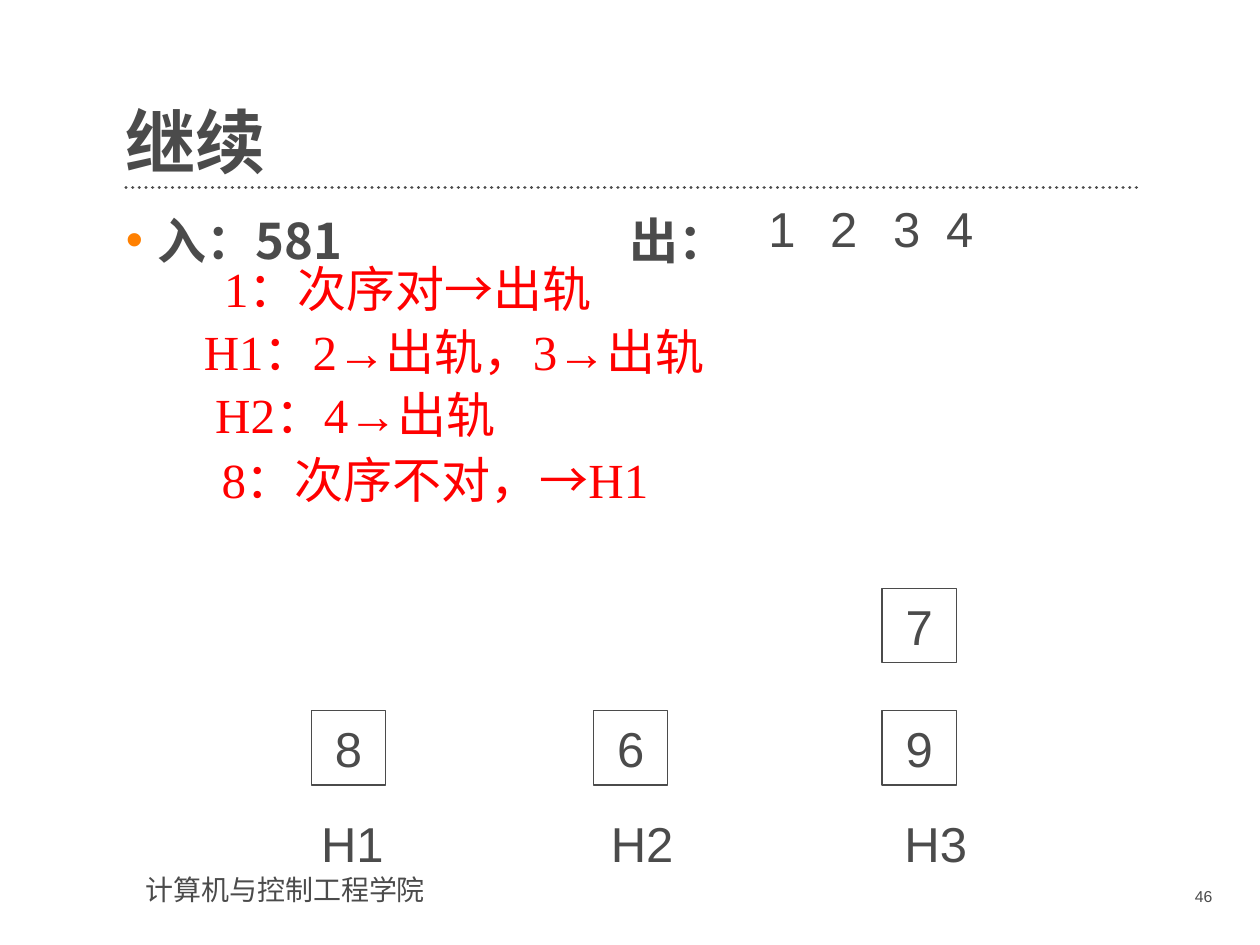
from lxml import etree
from pptx import Presentation
from pptx import util as u
from pptx.dml.color import RGBColor
from pptx.enum import dml, shapes, text
from pptx.oxml import ns

THEME = {
    "ink": "4B4B4B", "red": "FF0000", "dot": "FF8000",
    "sans": "Arial", "serif": "Times New Roman", "cjk": "Noto Sans CJK SC",
    "head": 40, "main": 28, "foot": 16, "num": 9,
}
TITLE = "继续"
BODY = "入：581\t\t\t出："
FOOT = "计算机与控制工程学院"
PAGE = "46"
STEPS = [
    (1.68, 2, 3.35, "1：次序对→出轨"),
    (1.52, 2.5, 4.8, "H1：2→出轨，3→出轨"),
    (1.61, 3, 2.8, "H2：4→出轨"),
    (1.66, 3.52, 3.85, "8：次序不对，→H1"),
]
OUT = [("1", 6), ("2", 6.49), ("3", 6.99), ("4", 7.41)]
TRACKS = [
    ("H1", 2.45, 2.47, ["8"]),
    ("H2", 4.75, 4.71, ["6"]),
    ("H3", 7.08, 7, ["9", "7"]),
]
SIDE = 0.59
WIDE = 0.75
BASE = 5.64
RISE = 0.97


def paint(font, size, color="ink", name="sans", bold=False):
    """Set size, colour and typeface from the theme."""
    font.size = u.Pt(THEME[size])
    font.color.rgb = RGBColor.from_string(THEME[color])
    font.name = THEME[name]
    font.bold = bold
    tag = etree.SubElement(font._element, ns.qn("a:ea"))
    tag.set("typeface", THEME["cjk"])


def write(slide, at, words, size="main", **look):
    """Add a text box and return its frame and paragraph."""
    frame = slide.shapes.add_textbox(*map(u.Inches, at)).text_frame
    frame.word_wrap = True
    para = frame.paragraphs[0]
    if words:
        para.add_run().text = words
    paint(para.font, size, **look)
    return frame, para


def inset(frame, right=0):
    """Clear the margins, keeping one on the right."""
    frame.margin_left = frame.margin_top = frame.margin_bottom = 0
    frame.margin_right = u.Inches(right)


def bullet(para):
    """Give a paragraph its bullet, hanging indent and tab stops."""
    prop = para._p.get_or_add_pPr()
    prop.set("marL", str(u.Inches(0.25)))
    prop.set("indent", str(-u.Inches(0.25)))
    stops = "".join(f'<a:tab pos="{u.Inches(n)}" algn="l"/>' for n in range(1, 9))
    parts = etree.fromstring(
        f'<a:x {ns.nsdecls("a")}><a:buClr><a:srgbClr val="{THEME["dot"]}"/></a:buClr>'
        f'<a:buFont typeface="{THEME["sans"]}"/><a:buChar char="•"/>'
        f'<a:tabLst>{stops}</a:tabLst></a:x>')
    for spot, part in enumerate(list(parts)):
        prop.insert(spot, part)


def step(slide, at, words):
    """Write one red step, with its arrows in the sans face."""
    para = write(slide, at, "", color="red", name="serif")[1]
    for spot, part in enumerate(words.split("→")):
        if spot:
            run = para.add_run()
            run.text = "→"
            run.font.name = THEME["sans"]
        run = para.add_run()
        run.text = part
        run.font.name = THEME["serif"]


def car(slide, left, top, label):
    """Draw one numbered square."""
    box = slide.shapes.add_shape(
        shapes.MSO_SHAPE.RECTANGLE, *map(u.Inches, (left, top, SIDE, SIDE)))
    box.shadow.inherit = False
    box.fill.background()
    box.line.color.rgb = RGBColor.from_string(THEME["ink"])
    box.line.width = u.Pt(0.75)
    frame = box.text_frame
    frame.vertical_anchor = text.MSO_ANCHOR.MIDDLE
    para = frame.paragraphs[0]
    para.add_run().text = label
    para.alignment = text.PP_ALIGN.CENTER
    paint(para.font, "main")


def rule(slide):
    """Draw the dotted line under the title."""
    line = slide.shapes.add_connector(
        shapes.MSO_CONNECTOR.STRAIGHT, *map(u.Inches, (1, 1.49, 9.06, 1.49)))
    line.line.color.rgb = RGBColor.from_string(THEME["ink"])
    line.line.width = u.Pt(1.9)
    line.line.dash_style = dml.MSO_LINE.ROUND_DOT
    prop = line._element.spPr
    prop.find(ns.qn("a:ln")).set("cap", "rnd")
    etree.SubElement(prop, ns.qn("a:effectLst"))


def main():
    """Build the slide and save it."""
    deck = Presentation()
    deck.slide_width, deck.slide_height = u.Inches(10), u.Inches(7.5)
    slide = deck.slides.add_slide(deck.slide_layouts[6])
    rule(slide)
    write(slide, (1.06, 6.88, 2.56, 0.37), FOOT, "foot")

    frame, para = write(slide, (1, 0.55, 8.06, 0.91), TITLE, "head",
                        name="cjk", bold=True)
    inset(frame)
    frame.vertical_anchor = text.MSO_ANCHOR.BOTTOM
    para.line_spacing = 0.9

    frame, para = write(slide, (1, 1.67, 8.06, 5), BODY, name="cjk", bold=True)
    inset(frame, 0.2)
    bullet(para)

    for left, top, width, words in STEPS:
        step(slide, (left, top, width, 0.57), words)
    for label, left in OUT:
        write(slide, (left, 1.53, SIDE, SIDE), label)
    for name, left, side, cars in TRACKS:
        write(slide, (left, 6.41, WIDE, SIDE), name)
        for level, label in enumerate(cars):
            car(slide, side, BASE - level * RISE, label)

    para = write(slide, (8.73, 6.99, 0.99, 0.29), PAGE, "num")[1]
    para.alignment = text.PP_ALIGN.RIGHT
    deck.save("out.pptx")


if __name__ == "__main__":
    main()
